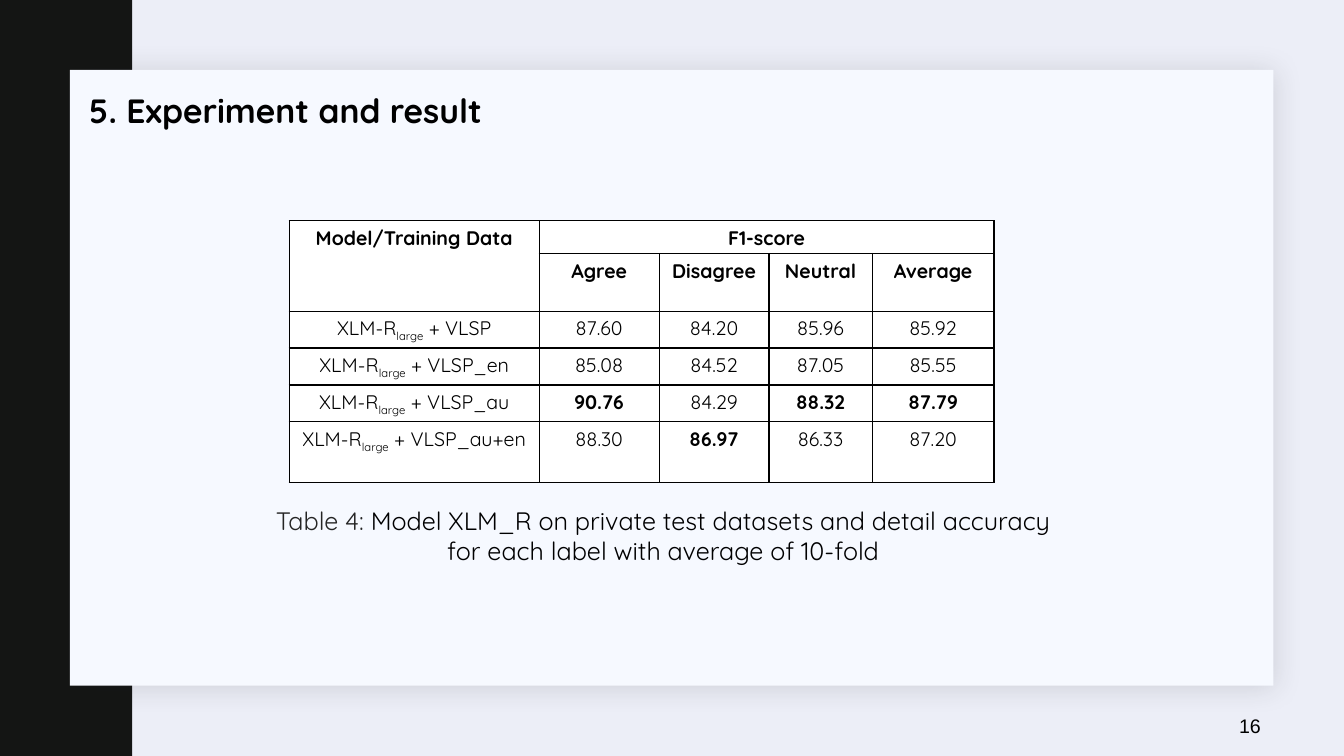
from lxml.etree import SubElement
from pptx import Presentation
from pptx.dml.color import RGBColor
from pptx.enum.shapes import MSO_SHAPE
from pptx.enum.text import MSO_ANCHOR, PP_ALIGN
from pptx.oxml import parse_xml
from pptx.oxml.ns import nsdecls, qn
from pptx.util import Cm, Pt


def paint(fill, colour):
    fill.solid()
    fill.fore_color.rgb = RGBColor.from_string(colour)


def add_run(paragraph, text, size, bold=False, colour="000000", font="Quicksand"):
    run = paragraph.add_run()
    run.text = text
    run.font.name = font
    run.font.size = Pt(size)
    run.font.bold = bold
    paint(run.font.fill, colour)
    return run


presentation = Presentation()
presentation.slide_width, presentation.slide_height = Cm(33.87), Cm(19.05)
slide = presentation.slides.add_slide(presentation.slide_layouts[6])
paint(slide.background.fill, "ECEEF7")

# Dark side bar and content panel
side_bar = slide.shapes.add_shape(MSO_SHAPE.RECTANGLE, 0, 0, Cm(3.33), Cm(19.05))
panel = slide.shapes.add_shape(
    MSO_SHAPE.RECTANGLE, Cm(1.76), Cm(1.76), Cm(30.33), Cm(15.52))
for block, colour in ((side_bar, "141514"), (panel, "F6F9FF")):
    paint(block.fill, colour)
    block.line.fill.background()
    block.shadow.inherit = False

# Soft shadow of the panel
panel_effects = panel._element.spPr.find(qn("a:effectLst"))
panel_effects.append(parse_xml(
    f'<a:outerShdw {nsdecls("a")} blurRad="{Pt(20)}" dist="{Pt(2)}" dir="2700000" '
    'algn="ctr" rotWithShape="0"><a:srgbClr val="1F2125"><a:alpha val="15000"/>'
    '</a:srgbClr></a:outerShdw>'))

# Heading, caption and page number
heading = slide.shapes.add_textbox(Cm(2), Cm(2.44), Cm(16.92), Cm(2.16)).text_frame
caption = slide.shapes.add_textbox(Cm(5.84), Cm(12.6), Cm(21.74), Cm(1.78)).text_frame
page_number = slide.shapes.add_textbox(
    Cm(30.84), Cm(17.86), Cm(1.32), Cm(0.84)).text_frame
for frame in (heading, caption, page_number):
    frame.word_wrap = True

heading_line = heading.paragraphs[0]
heading_line.line_spacing = Pt(20)
heading_line.space_before, heading_line.space_after = Pt(12), Pt(2)
add_run(heading_line, "5. Experiment and result", 24, bold=True)

caption_start, caption_end = caption.paragraphs[0], caption.add_paragraph()
caption_start.alignment = caption_end.alignment = PP_ALIGN.CENTER
add_run(caption_start, "Table 4: ", 18, colour="252525")
add_run(caption_start, "Model XLM_R on private test datasets and detail accuracy", 18)
add_run(caption_end, "for each label with average of 10-fold", 18)

page_number.paragraphs[0].alignment = PP_ALIGN.CENTER
add_run(page_number.paragraphs[0], "16", 14, font="Arial")

# Results table: grid
column_widths = [6.3, 3.02, 2.77, 2.6, 3.07]
row_heights = [0.83, 1.45, 0.93, 0.93, 0.93, 1.52]
results = slide.shapes.add_table(
    len(row_heights), len(column_widths), Cm(7.29), Cm(5.56),
    Cm(sum(column_widths)), Cm(sum(row_heights))).table
for column, width in zip(results.columns, column_widths):
    column.width = Cm(width)
for row, height in zip(results.rows, row_heights):
    row.height = Cm(height)

# Results table: borders, fill and margins
for cell in results.iter_cells():
    properties = cell._tc.get_or_add_tcPr()
    for side in ("a:lnL", "a:lnR", "a:lnT", "a:lnB"):
        border = SubElement(properties, qn(side), w=str(Pt(0.96)))
        border_fill = SubElement(border, qn("a:solidFill"))
        SubElement(border_fill, qn("a:srgbClr"), val="000000")
    paint(cell.fill, "FFFFFF")
    cell.margin_top, cell.margin_bottom = Cm(0.13), 0
    cell.vertical_anchor = MSO_ANCHOR.TOP
    cell.text_frame.paragraphs[0].alignment = PP_ALIGN.CENTER
results.cell(0, 0).merge(results.cell(1, 0))
results.cell(0, 1).merge(results.cell(0, 4))

# Results table: headers
headers = [(0, 0, "Model/Training Data"), (0, 1, "F1-score"), (1, 1, "Agree"),
           (1, 2, "Disagree"), (1, 3, "Neutral"), (1, 4, "Average")]
for row, column, header in headers:
    add_run(results.cell(row, column).text_frame.paragraphs[0], header, 14, bold=True)

# Results table: scores, with the best of each column in bold
scores = {
    "VLSP": [87.60, 84.20, 85.96, 85.92],
    "VLSP_en": [85.08, 84.52, 87.05, 85.55],
    "VLSP_au": [90.76, 84.29, 88.32, 87.79],
    "VLSP_au+en": [88.30, 86.97, 86.33, 87.20],
}
best_scores = [max(column) for column in zip(*scores.values())]
for row, (training_data, row_scores) in enumerate(scores.items(), start=2):
    model = results.cell(row, 0).text_frame.paragraphs[0]
    add_run(model, "XLM-R", 14)
    model_size = add_run(model, "large", 14)
    model_size._r.get_or_add_rPr().set("baseline", "-25000")
    add_run(model, f" + {training_data}", 14)
    for column, (score, best) in enumerate(zip(row_scores, best_scores), start=1):
        add_run(results.cell(row, column).text_frame.paragraphs[0],
                f"{score:.2f}", 14, bold=score == best)

presentation.save("out.pptx")
